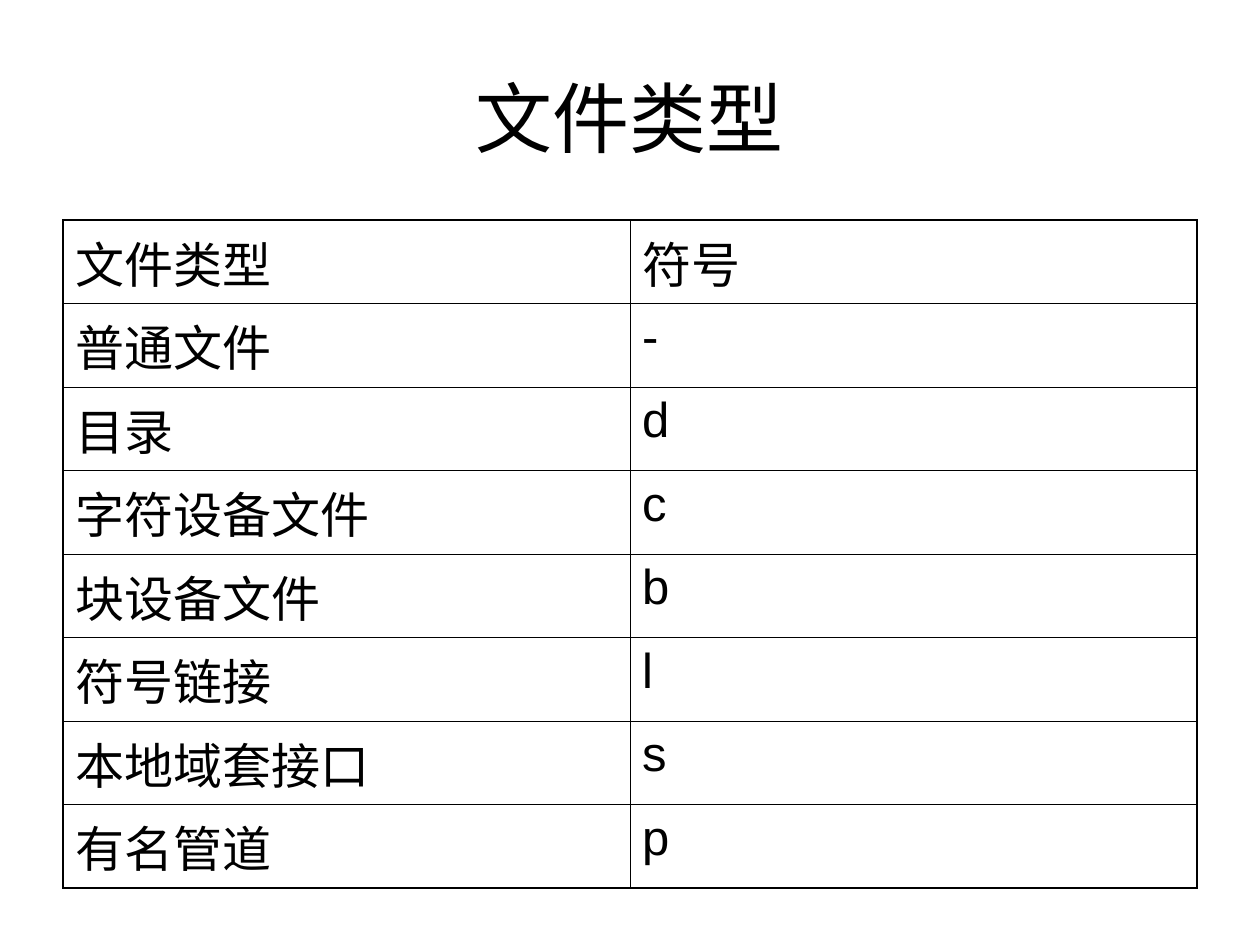
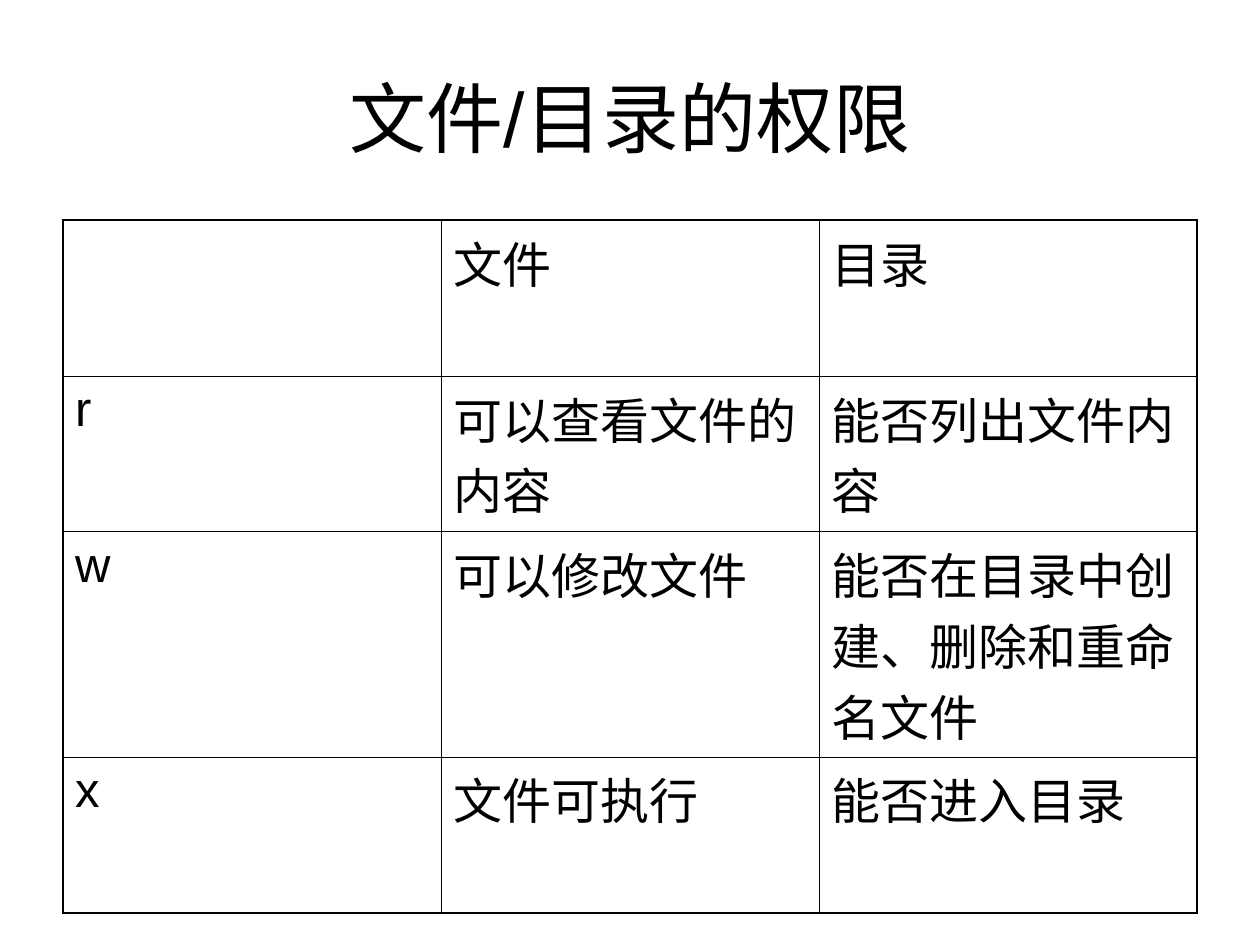
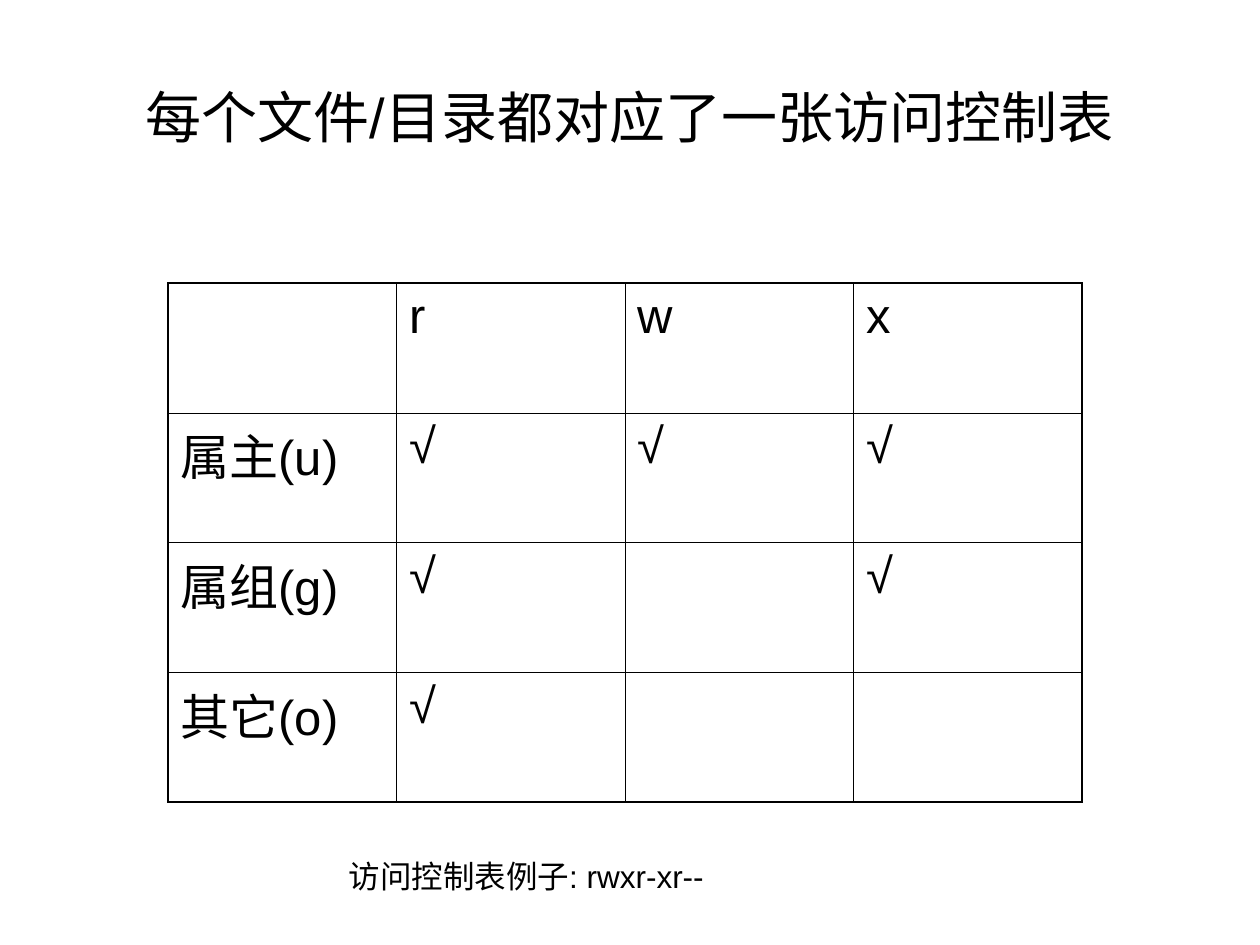
from dataclasses import dataclass
from typing import NamedTuple

from lxml.etree import SubElement
from pptx import Presentation
from pptx.dml.color import RGBColor
from pptx.enum.lang import MSO_LANGUAGE_ID as Lang
from pptx.enum.text import MSO_ANCHOR as Anchor, MSO_AUTO_SIZE as AutoSize, PP_ALIGN as Align
from pptx.oxml.ns import qn
from pptx.util import Cm, Pt


@dataclass(frozen=True)
class Theme:
    font: str = "Arial"
    ink: str = "000000"
    paper: str = "FFFFFF"
    title: float = 44
    long_title: float = 32
    cell: float = 28
    caption: float = 18
    cell_gap: float = 7
    caption_gap: float = 11.2
    outer_line: float = 1.08
    inner_line: float = 0.45


class Box(NamedTuple):
    """Left, top and width in centimetres."""
    left: float
    top: float
    width: float


THEME = Theme()
TITLE_BOX = Box(1.27, 0.76, 22.86)
WIDE_TABLE_BOX = Box(1.27, 4.44, 22.86)
ACCESS_TABLE_BOX = Box(3.39, 5.71, 18.42)
CAPTION_BOX = Box(6.78, 17.15, 13.97)

FILE_TYPES = [
    ("文件类型", "符号"),
    ("普通文件", "-"),
    ("目录", "d"),
    ("字符设备文件", "c"),
    ("块设备文件", "b"),
    ("符号链接", "l"),
    ("本地域套接口", "s"),
    ("有名管道", "p"),
]
PERMISSIONS = [
    ("", "文件", "目录"),
    ("r", "可以查看文件的内容", "能否列出文件内容"),
    ("w", "可以修改文件", "能否在目录中创建、删除和重命名文件"),
    ("x", "文件可执行", "能否进入目录"),
]
ACCESS = [
    ("", "r", "w", "x"),
    ("属主(u)", "√", "√", "√"),
    ("属组(g)", "√", "", "√"),
    ("其它(o)", "√", "", ""),
]


def write(frame, text, *, size, align=Align.LEFT, before=0):
    """Put one formatted paragraph into a text frame."""
    paragraph = frame.paragraphs[0]
    paragraph.alignment = align
    paragraph.space_before = Pt(before)
    run = paragraph.add_run()
    run.text = text
    run.font.name = THEME.font
    run.font.size = Pt(size)
    run.font.color.rgb = RGBColor.from_string(THEME.ink)
    run.font.language_id = Lang.SIMPLIFIED_CHINESE


def add_frame(slide, box, height):
    """Add a wrapping text box and return its text frame."""
    frame = slide.shapes.add_textbox(
        Cm(box.left), Cm(box.top), Cm(box.width), Cm(height)).text_frame
    frame.word_wrap = True
    return frame


def add_title(slide, box, text, size):
    frame = add_frame(slide, box, 3.18)
    frame.vertical_anchor = Anchor.MIDDLE
    write(frame, text, size=size, align=Align.CENTER)


def add_caption(slide, box, text):
    frame = add_frame(slide, box, 1.02)
    frame.auto_size = AutoSize.SHAPE_TO_FIT_TEXT
    write(frame, text, size=THEME.caption, before=THEME.caption_gap)


def rule_cell(cell, on_edge):
    """Draw the four borders, heavier on the sides at the table's edge."""
    properties = cell._tc.get_or_add_tcPr()
    for side, outer in on_edge.items():
        weight = THEME.outer_line if outer else THEME.inner_line
        line = SubElement(properties, qn(f"a:ln{side}"), w=str(int(Pt(weight))))
        SubElement(SubElement(line, qn("a:solidFill")), qn("a:srgbClr"), val=THEME.ink)


def add_grid(slide, box, entries, row_heights):
    """Build a ruled table with equal columns."""
    row_count, column_count = len(entries), len(entries[0])
    grid = slide.shapes.add_table(
        row_count, column_count, Cm(box.left), Cm(box.top),
        Cm(box.width), Cm(sum(row_heights))).table
    grid.first_row = grid.horz_banding = False
    for column in grid.columns:
        column.width = Cm(box.width / column_count)
    for r, (entry, height) in enumerate(zip(entries, row_heights)):
        grid.rows[r].height = Cm(height)
        for c, text in enumerate(entry):
            cell = grid.cell(r, c)
            rule_cell(cell, {"L": c == 0, "R": c == column_count - 1,
                             "T": r == 0, "B": r == row_count - 1})
            cell.fill.background()
            if text:
                write(cell.text_frame, text, size=THEME.cell, before=THEME.cell_gap)


def add_table_slide(deck, title, box, entries, row_heights, title_size=THEME.title):
    """Add a slide with a title over a table."""
    slide = deck.slides.add_slide(deck.slide_layouts[6])
    slide.background.fill.solid()
    slide.background.fill.fore_color.rgb = RGBColor.from_string(THEME.paper)
    add_title(slide, TITLE_BOX, title, title_size)
    add_grid(slide, box, entries, row_heights)
    return slide


def main():
    deck = Presentation()
    deck.slide_width, deck.slide_height = Cm(25.4), Cm(19.05)

    # File types and their symbols
    add_table_slide(deck, "文件类型", WIDE_TABLE_BOX, FILE_TYPES, [13.47 / 8] * 8)

    # Meaning of each permission
    add_table_slide(deck, "文件/目录的权限", WIDE_TABLE_BOX, PERMISSIONS,
                    [3.14, 3.14, 4.54, 3.14])

    # Access control table with an example
    access_slide = add_table_slide(
        deck, "每个文件/目录都对应了一张访问控制表", ACCESS_TABLE_BOX, ACCESS,
        [10.46 / 4] * 4, title_size=THEME.long_title)
    add_caption(access_slide, CAPTION_BOX, "访问控制表例子: rwxr-xr--")

    deck.save("out.pptx")


if __name__ == "__main__":
    main()
